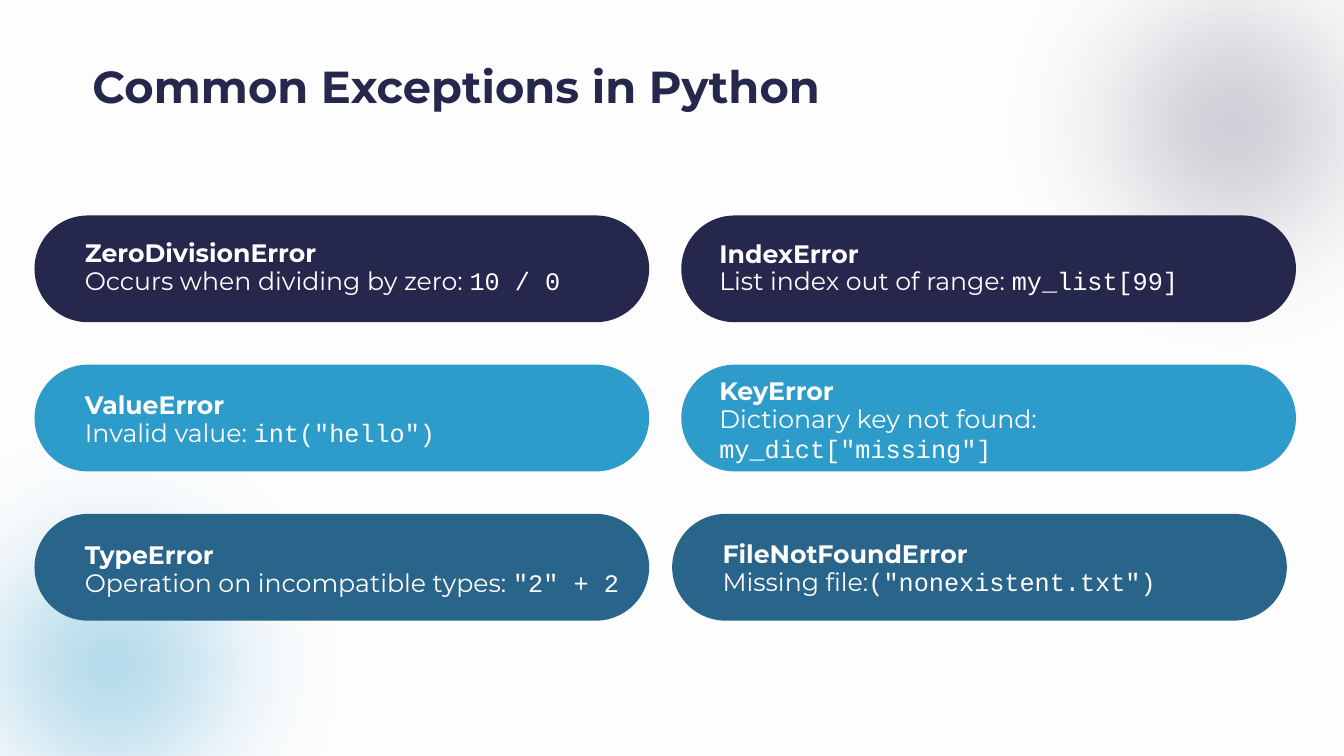
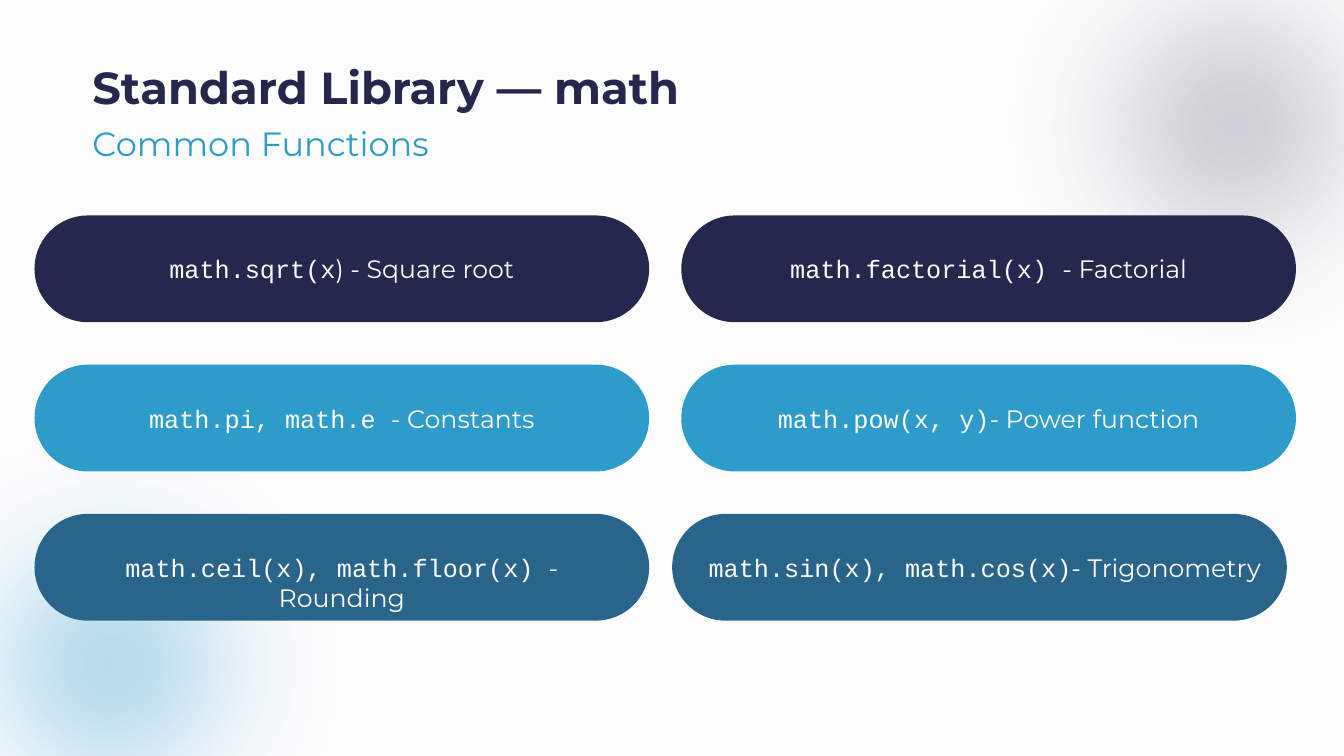
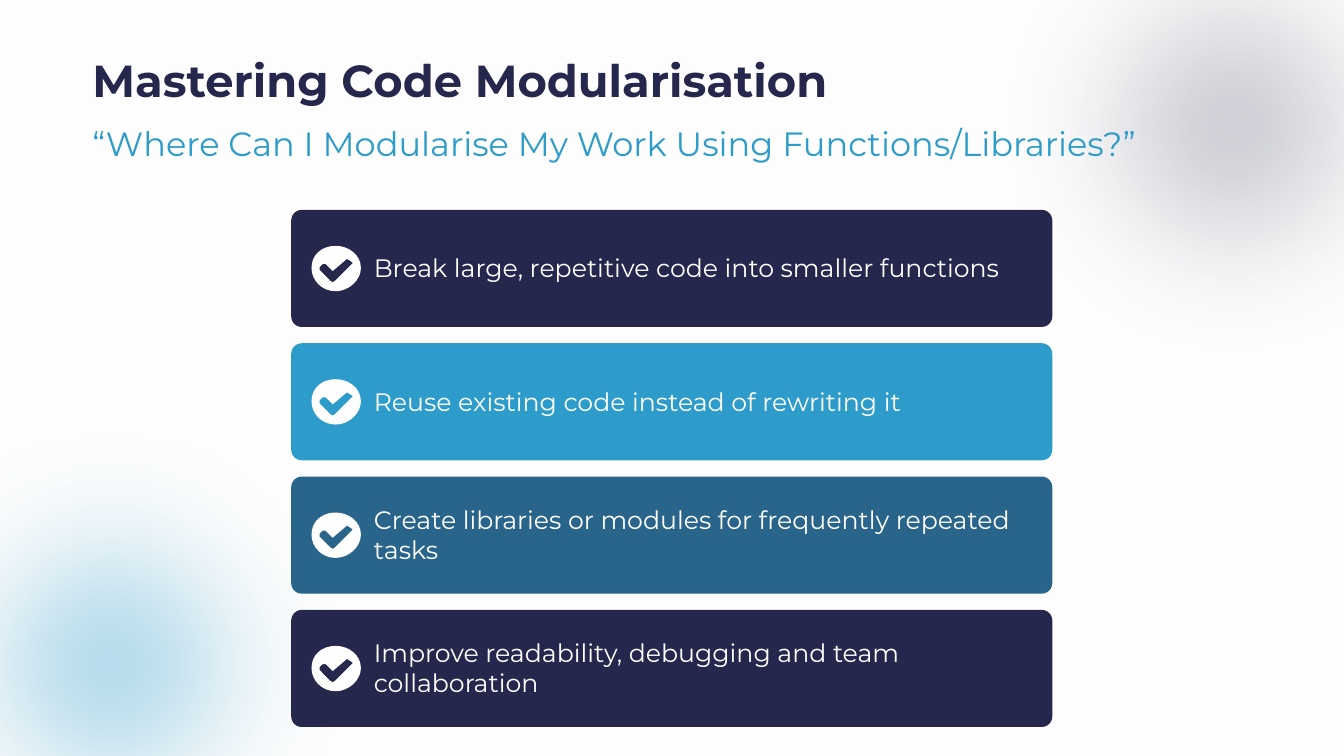
from lxml.etree import SubElement
from pptx import Presentation
from pptx.dml.color import RGBColor
from pptx.enum.shapes import MSO_SHAPE as Form
from pptx.enum.text import MSO_ANCHOR as Anchor, PP_ALIGN as Align
from pptx.oxml.ns import qn
from pptx.util import Cm, Pt

NAVY = RGBColor(0x25, 0x27, 0x4D)
BLUE = RGBColor(0x2E, 0x9C, 0xCA)
TEAL = RGBColor(0x29, 0x64, 0x8A)
SLATE = RGBColor(0x46, 0x48, 0x66)
WHITE = RGBColor(0xFF, 0xFF, 0xFF)
PAPER = RGBColor(0xFD, 0xFD, 0xFD)

SANS, MONO = "Montserrat", "Courier New"
TITLE = {"name": SANS, "size": Pt(32), "bold": True, "rgb": NAVY}
SUB = {"name": SANS, "size": Pt(24), "rgb": BLUE}
BODY = {"name": SANS, "size": Pt(18), "rgb": WHITE}
HEAD = {**BODY, "bold": True}
CODE = {**BODY, "name": MONO}

BLOBS = [(-4.72, 9.22, BLUE, 40), (23.55, -4.37, SLATE, 30)]
BLOB, FADE = 15.04, Pt(100)

PILL_W, PILL_H, PILL_TOP, PILL_STEP = 15.49, 2.69, 5.43, 3.76
PILLS = [(0.87, 0, NAVY), (0.87, 1, BLUE), (0.87, 2, TEAL),
         (17.17, 0, NAVY), (17.17, 1, BLUE), (16.94, 2, TEAL)]

ERRORS = [
    (1.02, 0.42, 14.1, "ZeroDivisionError", "Occurs when dividing by zero: ", "10 / 0"),
    (1.02, 0.5, 14.1, "ValueError", "Invalid value: ", 'int("hello")'),
    (1.02, 0.52, 14.45, "TypeError", "Operation on incompatible types: ", '"2" + 2'),
    (0.71, 0.44, 14.1, "IndexError", "List index out of range: ", "my_list[99]"),
    (0.71, 0.14, 11.3, "KeyError", "Dictionary key not found: ", 'my_dict["missing"]'),
    (1.02, 0.49, 14.45, "FileNotFoundError", "Missing file:", '("nonexistent.txt")'),
]
MATHS = [
    (0, "math.sqrt(x", ") - Square root"),
    (0, "math.pi, math.e ", "- Constants"),
    (0, "math.ceil(x), math.floor(x) ", "- Rounding"),
    (0, "math.factorial(x) ", "- Factorial"),
    (0, "math.pow(x, y)", "- Power function"),
    (0.13, "math.sin(x), math.cos(x)", "- Trigonometry"),
]
CARDS = [
    (NAVY, "Break large, repetitive code into smaller functions"),
    (BLUE, "Reuse existing code instead of rewriting it"),
    (TEAL, "Create libraries or modules for frequently repeated tasks"),
    (NAVY, "Improve readability, debugging and team collaboration"),
]
RIM = [(24, 45), (10, 45), (0, 34), (0, 22), (0, 9), (10, 0), (24, 0),
       (37, 0), (49, 9), (49, 22), (49, 34), (37, 45), (24, 45)]
TICK = [(40, 16), (37, 14), (35, 13), (34, 14), (21, 25), (14, 18), (12, 18),
        (11, 18), (8, 21), (8, 23), (8, 24), (19, 35), (21, 36), (23, 35),
        (40, 18), (41, 17)]


def place(x, y, w, h):
    """Turn a box in centimetres into lengths."""
    return Cm(x), Cm(y), Cm(w), Cm(h)


def paint(shape, color):
    """Give a shape a plain fill with no line or shadow."""
    shape.shadow.inherit = False
    shape.fill.solid()
    shape.fill.fore_color.rgb = color
    shape.line.fill.background()
    return shape


def write(slide, box, runs, align=Align.LEFT, space=None, anchor=Anchor.TOP):
    """Place one paragraph of styled runs in a text box."""
    frame = slide.shapes.add_textbox(*place(*box)).text_frame
    frame.word_wrap = True
    frame.vertical_anchor = anchor
    para = frame.paragraphs[0]
    para.alignment = align
    para.line_spacing = space
    for text, style in runs:
        run = para.add_run()
        run.text = text
        for key, value in style.items():
            if key == "rgb":
                run.font.color.rgb = value
            else:
                setattr(run.font, key, value)


def blob(slide, x, y, color, alpha):
    """Draw a soft, see-through disc."""
    disc = paint(slide.shapes.add_shape(Form.OVAL, *place(x, y, BLOB, BLOB)), color)
    tint = disc.element.xpath(".//a:srgbClr")[0]
    SubElement(tint, qn("a:alpha"), val=str(alpha * 1000))
    glow = disc.element.xpath("./p:spPr/a:effectLst")[0]
    SubElement(glow, qn("a:softEdge"), rad=str(int(FADE)))
    return disc


def dress(deck):
    """Move the backdrop all slides share to the master."""
    master = deck.slide_master
    master.background.fill.solid()
    master.background.fill.fore_color.rgb = PAPER
    tree = master.element.xpath("./p:cSld/p:spTree")[0]
    for item in BLOBS:
        tree.append(blob(deck.slides[0], *item).element)


def start(deck, title, top, space, sub=None):
    """Add a slide with its title and subtitle."""
    slide = deck.slides.add_slide(deck.slide_layouts[6])
    write(slide, (2.08, top, 29.51, 1.5), [(title, TITLE)], space=space)
    if sub:
        write(slide, (2.08, 3.09, 29.51, 1.24), [(sub, SUB)], space=0.9)
    return slide


def block(slide, box, color, bend):
    """Draw a filled box with rounded corners."""
    shape = slide.shapes.add_shape(Form.ROUNDED_RECTANGLE, *place(*box))
    shape.adjustments[0] = bend
    paint(shape, color)


def pills(slide):
    """Draw the six pills and yield the corner of each."""
    for x, row, color in PILLS:
        y = PILL_TOP + row * PILL_STEP
        block(slide, (x, y, PILL_W, PILL_H), color, 0.5)
        yield x, y


def errors(deck):
    """Build the slide of common exceptions."""
    slide = start(deck, "Common Exceptions in Python", 1.12, Pt(45))
    for (x, y), (dx, dy, w, name, text, code) in zip(pills(slide), ERRORS):
        write(slide, (x + dx, y + dy, 14.1, 1.02), [(name, HEAD)])
        write(slide, (x + dx, y + dy + 0.7, w, 1.02), [(text, BODY), (code, CODE)])


def maths(deck):
    """Build the slide of math functions."""
    slide = start(deck, "Standard Library — math", 1.37, Pt(38.8), "Common Functions")
    wide = 14.73
    for (x, y), (shift, code, text) in zip(pills(slide), MATHS):
        left = x + (PILL_W - wide) / 2 + shift
        write(slide, (left, y + 0.84, wide, 1.02), [(code, CODE), (text, BODY)], Align.CENTER)


def badge(slide, x, y):
    """Draw a white disc with a tick cut out of it."""
    pen = slide.shapes.build_freeform(*RIM[0], scale=Cm(2.54) / 100)
    pen.add_line_segments(RIM[1:])
    pen.move_to(*TICK[0])
    pen.add_line_segments(TICK[1:])
    disc = paint(pen.convert_to_shape(Cm(x), Cm(y)), WHITE)
    lines = disc.element.xpath(".//a:lnTo")[:len(RIM) - 1]
    for first in range(0, len(lines), 3):
        curve = SubElement(lines[first].getparent(), qn("a:cubicBezTo"))
        lines[first].addprevious(curve)
        for line in lines[first:first + 3]:
            curve.append(line[0])
            line.getparent().remove(line)


def card(slide, x, y, w, h, color, text):
    """Draw one card with its badge and text."""
    block(slide, (x, y, w, h), color, 0.09)
    write(slide, (x + 1.83, y - 0.02, 16.74, h), [(text, BODY)], anchor=Anchor.MIDDLE)
    badge(slide, x + 0.51, y + (h - 1.14) / 2)


def advice(deck):
    """Build the slide of advice cards."""
    slide = start(deck, "Mastering Code Modularisation", 1.35, 0.9,
                  "“Where Can I Modularise My Work Using Functions/Libraries?”")
    for row, item in enumerate(CARDS):
        card(slide, 7.34, 5.29 + row * 3.36, 19.18, 2.95, *item)


def main():
    """Build and save the deck."""
    deck = Presentation()
    deck.slide_width, deck.slide_height = Cm(33.87), Cm(19.05)
    for build in (errors, maths, advice):
        build(deck)
    dress(deck)
    deck.save("out.pptx")


if __name__ == "__main__":
    main()
